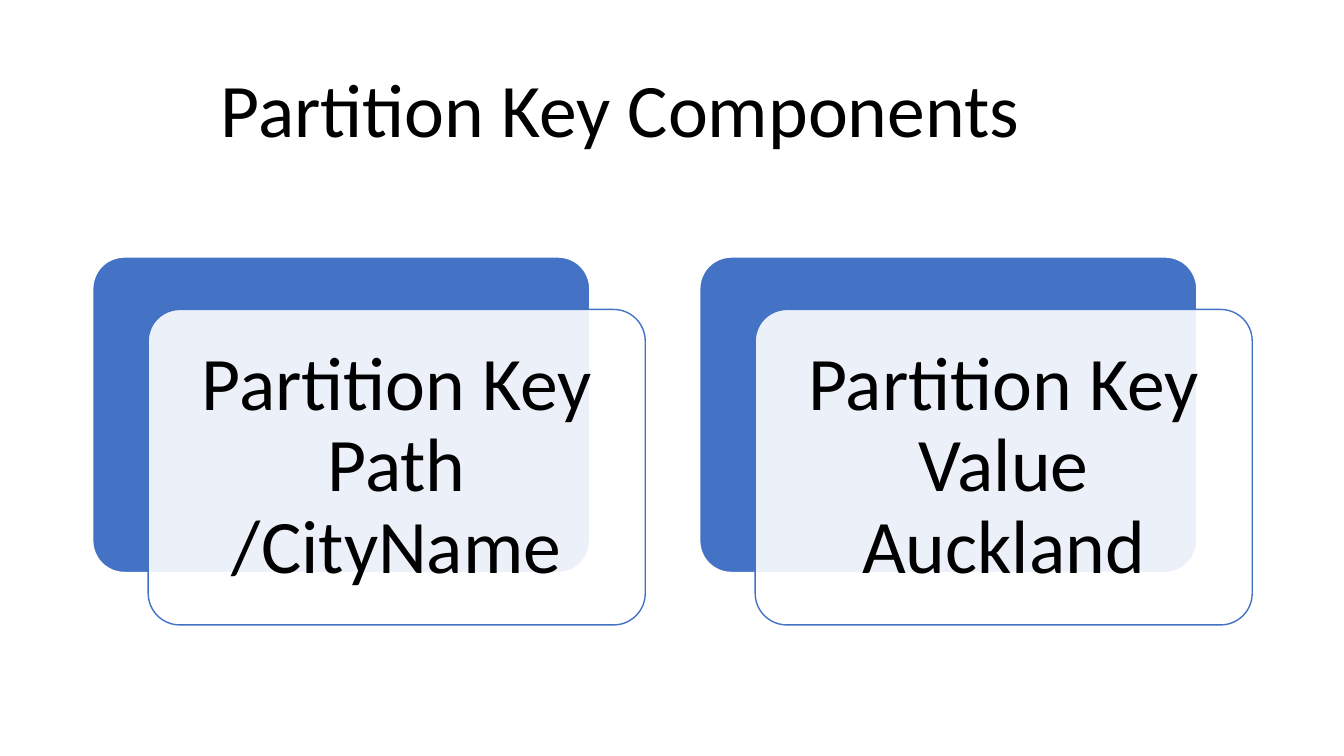
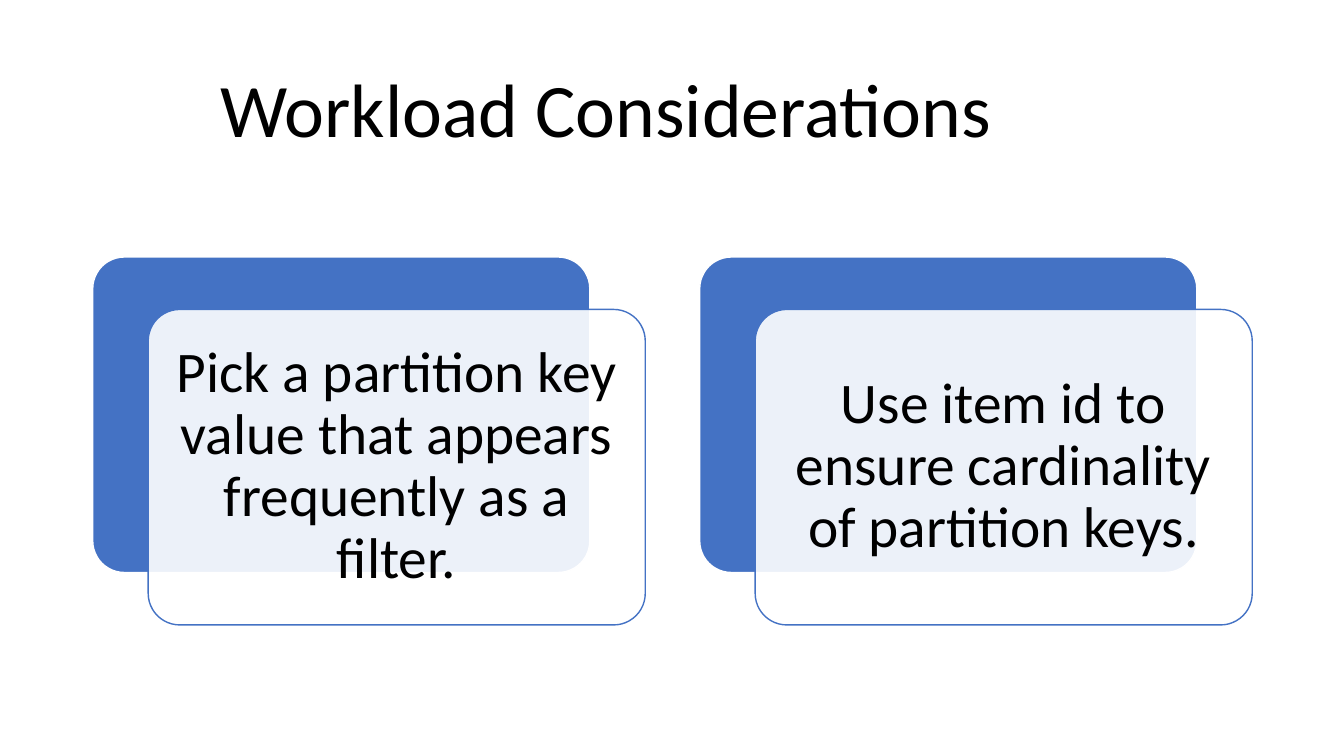
from lxml.etree import SubElement
from pptx import Presentation
from pptx.dml.color import RGBColor
from pptx.enum.shapes import MSO_SHAPE
from pptx.enum.text import MSO_ANCHOR, PP_ALIGN
from pptx.oxml.ns import qn
from pptx.util import Inches, Pt

COLORS = {"accent": "4472C4", "paper": "FFFFFF", "text": "000000"}
FONT = "Calibri"
TITLE_BOX = (2.09, 0.4, 10.32, 1.45)
CARD_W, CARD_H = 4.93, 3.13
CARDS_LEFT, CARDS_TOP, CARD_PITCH = 0.92, 2.55, 6.02
OFFSET_X, OFFSET_Y = 0.55, 0.52

SLIDES = [
    ("Partition Key Components", 54, 0.23,
     ["Partition Key Path /CityName", "Partition Key Value Auckland"]),
    ("Workload Considerations", 41, 0.17,
     ["Pick a partition key value that appears frequently as a filter.",
      "Use item id to ensure cardinality of partition keys."]),
]


def color(name):
    """Return the palette colour of that name."""
    return RGBColor.from_string(COLORS[name])


def write(tf, text, size, align):
    """Set one vertically centred paragraph in the shared text style."""
    tf.word_wrap = True
    tf.vertical_anchor = MSO_ANCHOR.MIDDLE
    tf.text = text
    p = tf.paragraphs[0]
    p.alignment = align
    p.line_spacing = 0.9
    font = p.runs[0].font
    font.name, font.size = FONT, Pt(size)
    font.color.rgb = color("text")


def add_title(s, text):
    """Place the slide title."""
    box = s.shapes.add_textbox(*map(Inches, TITLE_BOX))
    write(box.text_frame, text, 54, PP_ALIGN.LEFT)


def add_panel(s, x, y, fill, line):
    """Add one rounded panel and return it."""
    sp = s.shapes.add_shape(MSO_SHAPE.ROUNDED_RECTANGLE, Inches(x), Inches(y),
                            Inches(CARD_W), Inches(CARD_H))
    sp.adjustments[0] = 0.1
    sp.shadow.inherit = False
    sp.fill.solid()
    sp.fill.fore_color.rgb = color(fill)
    sp.line.color.rgb = color(line)
    sp.line.width = Pt(1)
    return sp


def set_opacity(sp, percent):
    """Make the solid fill of a shape partly transparent."""
    rgb = sp._element.spPr.find(qn("a:solidFill")).find(qn("a:srgbClr"))
    SubElement(rgb, qn("a:alpha")).set("val", str(percent * 1000))


def add_card(s, x, y, text, size, inset):
    """Place a solid panel with a translucent text panel stepped over it."""
    add_panel(s, x, y, "accent", "paper")
    front = add_panel(s, x + OFFSET_X, y + OFFSET_Y, "paper", "accent")
    set_opacity(front, 90)
    tf = front.text_frame
    tf.margin_left = tf.margin_right = Inches(inset)
    tf.margin_top = tf.margin_bottom = Inches(inset)
    write(tf, text, size, PP_ALIGN.CENTER)


def add_card_slide(prs, title, size, inset, texts):
    """Add a slide with a title and a row of cards."""
    s = prs.slides.add_slide(prs.slide_layouts[6])
    add_title(s, title)
    for i, text in enumerate(texts):
        add_card(s, CARDS_LEFT + i * CARD_PITCH, CARDS_TOP, text, size, inset)


def main():
    """Build and save the presentation."""
    prs = Presentation()
    prs.slide_width, prs.slide_height = Inches(13.33), Inches(7.5)
    for content in SLIDES:
        add_card_slide(prs, *content)
    prs.save("out.pptx")


if __name__ == "__main__":
    main()
